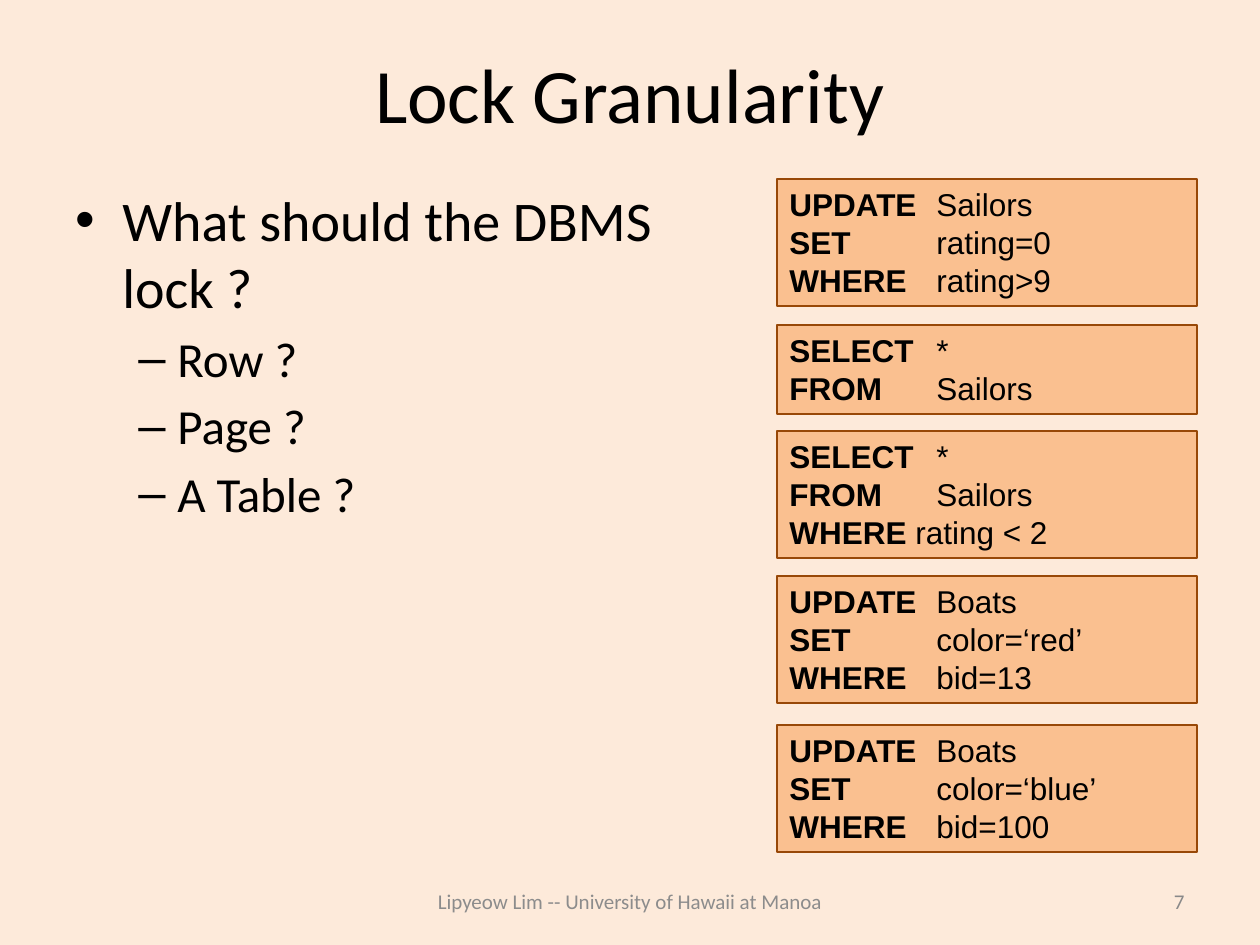
import pptx
import pptx.dml.color
import pptx.enum.shapes
import pptx.enum.text
import pptx.oxml.ns
import pptx.util
from lxml import etree

SCALE = 914400 / 126  # EMU per px
COLORS = {
    "background": "FDEADA",
    "text": "000000",
    "query_fill": "FAC090",
    "query_line": "984807",
    "footer": "8C8C8C",
    "page": "898989",
}
ALIGN = pptx.enum.text.PP_ALIGN
ANCHOR = pptx.enum.text.MSO_ANCHOR

# Outline: text, size, bullet, left margin, hanging indent, space before
OUTLINE = [
    ("What should the DBMS lock ?", 32, "•", 47, 47, 0),
    ("Row ?", 28, "–", 102, 39, 5),
    ("Page ?", 28, "–", 102, 39, 5),
    ("A Table ?", 28, "–", 102, 39, 5),
]

# Queries: top, then (keyword, separator, operand) for each line
QUERIES = [
    (179, [("UPDATE", "\t", "Sailors"), ("SET", "\t", "rating=0"),
           ("WHERE", "\t", "rating>9")]),
    (325, [("SELECT", "\t", "*"), ("FROM", "\t", "Sailors")]),
    (431, [("SELECT", "\t", "*"), ("FROM", "\t", "Sailors"),
           ("WHERE", " ", "rating < 2")]),
    (576, [("UPDATE", "\t", "Boats"), ("SET", "\t", "color=‘red’"),
           ("WHERE", "\t", "bid=13")]),
    (725, [("UPDATE", "\t", "Boats"), ("SET", "\t", "color=‘blue’"),
           ("WHERE", "\t", "bid=100")]),
]
QUERY_LEFT, QUERY_WIDTH, OPERAND_TAB = 777, 420, 147
LINE_HEIGHT, QUERY_PADDING = 38, 13


def px(n):
    return pptx.util.Emu(round(n * SCALE))


def rgb(name):
    return pptx.dml.color.RGBColor.from_string(COLORS[name])


def add_run(p, text, color="text", **formats):
    r = p.add_run()
    r.text = text
    for name, value in formats.items():
        setattr(r.font, name, value)
    r.font.color.rgb = rgb(color)


def add_box(s, left, top, width, height, anchor):
    tf = s.shapes.add_textbox(px(left), px(top), px(width), px(height)).text_frame
    tf.word_wrap = True
    tf.vertical_anchor = anchor
    return tf


def add_label(s, box, text, size, align, color="text"):
    p = add_box(s, *box, ANCHOR.MIDDLE).paragraphs[0]
    p.alignment = align
    add_run(p, text, color, name="Calibri", size=pptx.util.Pt(size))


def next_paragraph(tf, i):
    return tf.add_paragraph() if i else tf.paragraphs[0]


def add_ppr_child(p, tag, **attributes):
    ppr = p._p.get_or_add_pPr()
    child = etree.SubElement(ppr, pptx.oxml.ns.qn(tag), attributes)
    return ppr, child


def add_outline(s, box, items):
    tf = add_box(s, *box, ANCHOR.TOP)
    for i, (text, size, bullet, margin, hang, before) in enumerate(items):
        p = next_paragraph(tf, i)
        add_ppr_child(p, "a:buFont", typeface="Arial")
        ppr, _ = add_ppr_child(p, "a:buChar", char=bullet)
        ppr.set("marL", str(px(margin)))
        ppr.set("indent", str(-px(hang)))
        p.level = 1 if i else 0
        p.space_before = pptx.util.Pt(before)
        add_run(p, text, name="Calibri", size=pptx.util.Pt(size))


def add_query(s, top, lines):
    height = LINE_HEIGHT * len(lines) + QUERY_PADDING
    sp = s.shapes.add_shape(pptx.enum.shapes.MSO_SHAPE.RECTANGLE,
                            px(QUERY_LEFT), px(top), px(QUERY_WIDTH), px(height))
    sp.shadow.inherit = False
    sp.fill.solid()
    sp.fill.fore_color.rgb = rgb("query_fill")
    sp.line.color.rgb = rgb("query_line")
    sp.line.width = pptx.util.Pt(0.75)
    tf = sp.text_frame
    tf.word_wrap = True
    tf.vertical_anchor = ANCHOR.TOP
    for i, (keyword, separator, operand) in enumerate(lines):
        p = next_paragraph(tf, i)
        p.alignment = ALIGN.LEFT
        _, tabs = add_ppr_child(p, "a:tabLst")
        etree.SubElement(tabs, pptx.oxml.ns.qn("a:tab"),
                         {"pos": str(px(OPERAND_TAB)), "algn": "l"})
        for text, bold in ((keyword, True), (separator + operand, False)):
            add_run(p, text, name="Arial", size=pptx.util.Pt(18), bold=bold)


def main():
    prs = pptx.Presentation()
    prs.slide_width, prs.slide_height = px(1260), px(945)
    s = prs.slides.add_slide(prs.slide_layouts[6])
    s.background.fill.solid()
    s.background.fill.fore_color.rgb = rgb("background")

    # Title and outline
    add_label(s, (63, 38, 1134, 109), "Lock Granularity", 44, ALIGN.CENTER)
    add_outline(s, (63, 179, 672, 665), OUTLINE)

    # SQL queries
    for top, lines in QUERIES:
        add_query(s, top, lines)

    # Footer
    add_label(s, (378, 876, 504, 50), "Lipyeow Lim -- University of Hawaii at Manoa",
              12, ALIGN.CENTER, "footer")
    add_label(s, (903, 876, 294, 50), "7", 12, ALIGN.RIGHT, "page")

    prs.save("out.pptx")


if __name__ == "__main__":
    main()
